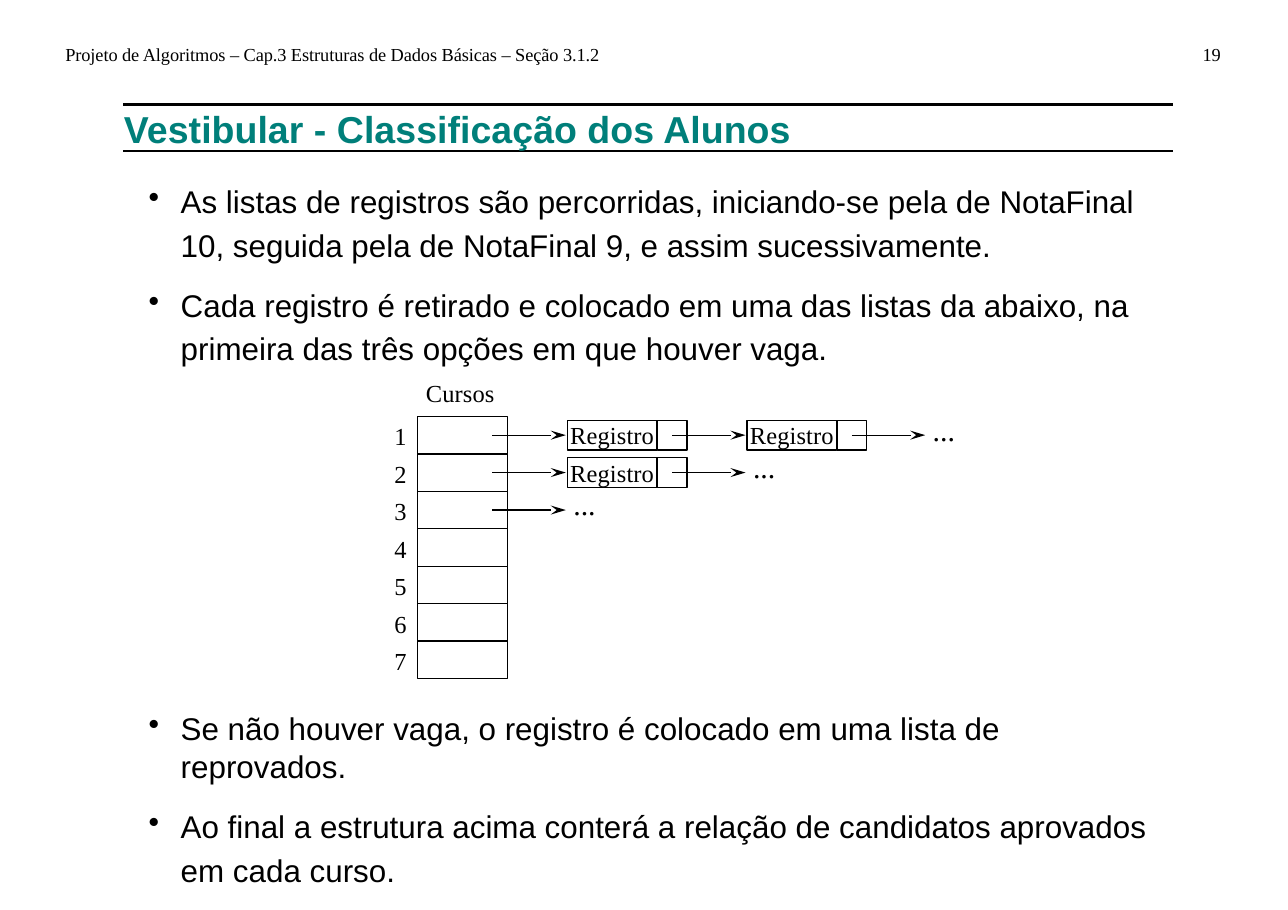
from dataclasses import dataclass

from lxml import etree
from pptx import Presentation
from pptx.dml.color import RGBColor
from pptx.enum.shapes import MSO_CONNECTOR, MSO_SHAPE
from pptx.enum.text import MSO_ANCHOR, PP_ALIGN
from pptx.oxml.ns import qn
from pptx.util import Emu, Inches, Pt

LINE = MSO_CONNECTOR.STRAIGHT
RECT = MSO_SHAPE.RECTANGLE
TOP = MSO_ANCHOR.TOP
MIDDLE = MSO_ANCHOR.MIDDLE
LEFT = PP_ALIGN.LEFT
CENTER = PP_ALIGN.CENTER

WIDTH = Inches(11.69)
HEIGHT = Inches(8.26)
COL = WIDTH / 43
ROW = HEIGHT / 24.3


@dataclass(frozen=True)
class Theme:
    ink: RGBColor = RGBColor(0x00, 0x00, 0x00)
    teal: RGBColor = RGBColor(0x00, 0x7F, 0x7A)
    sans: str = "Arial"
    serif: str = "Times New Roman"
    small: float = 12
    label: float = 16
    dots: float = 19.5
    body: float = 20.5
    title: float = 24.5
    thin: float = 0.82
    thick: float = 1.73
    tight: float = 24.8
    loose: float = 28.7
    gap: float = 10.5


THEME = Theme()


@dataclass(frozen=True)
class Style:
    face: str
    size: float
    color: RGBColor = THEME.ink
    bold: bool = False
    track: int = 0


@dataclass(frozen=True)
class Area:
    col: float
    row: float
    cols: float
    rows: float

    def place(self) -> tuple[Emu, Emu, Emu, Emu]:
        return (Emu(int(self.col * COL)), Emu(int(self.row * ROW)),
                Emu(int(self.cols * COL)), Emu(int(self.rows * ROW)))


@dataclass(frozen=True)
class Para:
    text: str
    pitch: float | None = None
    before: float = 0
    bullet: bool = False


@dataclass(frozen=True)
class Block:
    area: Area
    style: Style
    paras: list[Para]


SMALL = Style(THEME.serif, THEME.small, track=-5)
LABEL = Style(THEME.serif, THEME.label, track=10)
DOTS = Style(THEME.serif, THEME.dots)
BODY = Style(THEME.sans, THEME.body)
TITLE = Style(THEME.sans, THEME.title, THEME.teal, True, 7)

FIG_COL = 13.94
FIG_ROW = 11.12
COURSES = 7
CHAINS = [2, 1, 0]
STEP = 6

BLOCKS = [
    Block(Area(2.18, 1.15, 20, 0.62), SMALL,
          [Para("Projeto de Algoritmos – Cap.3 Estruturas de Dados Básicas – Seção 3.1.2")]),
    Block(Area(40.15, 1.15, 1, 0.62), SMALL, [Para("19")]),
    Block(Area(4.14, 2.83, 35, 1.15), TITLE,
          [Para("Vestibular - Classificação dos Alunos")]),
    Block(Area(4.93, 4.69, 33.9, 5.1), BODY, [
        Para("As listas de registros são percorridas, iniciando-se pela de NotaFinal 10, "
             "seguida pela de NotaFinal 9, e assim sucessivamente.",
             THEME.loose, bullet=True),
        Para("Cada registro é retirado e colocado em uma das listas da abaixo, na "
             "primeira das três opções em que houver vaga.",
             THEME.loose, THEME.gap, True)]),
    Block(Area(14.22, 10.09, 3, 0.75), LABEL, [Para("Cursos")]),
    Block(Area(13.17, 11.04, 0.6, COURSES), LABEL,
          [Para(str(num), ROW / Pt(1)) for num in range(1, COURSES + 1)]),
    Block(Area(4.93, 18.94, 33.9, 4.8), BODY, [
        Para("Se não houver vaga, o registro é colocado em uma lista de reprovados.",
             THEME.tight, bullet=True),
        Para("Ao final a estrutura acima conterá a relação de candidatos aprovados "
             "em cada curso.", THEME.loose, THEME.gap, True)]),
]


def apply(target: object, values: dict[str, object]) -> None:
    for key, value in values.items():
        setattr(target, key, value)


def write(frame, paras: list[Para], style: Style, anchor=TOP, align=LEFT) -> None:
    apply(frame, {"margin_left": 0, "margin_right": 0, "margin_top": 0,
                  "margin_bottom": 0, "word_wrap": True, "vertical_anchor": anchor})
    for num, para in enumerate(paras):
        line = frame.add_paragraph() if num else frame.paragraphs[0]
        if para.bullet:
            props = line._p.get_or_add_pPr()
            props.set("marL", str(Inches(0.3)))
            props.set("indent", str(-Inches(0.29)))
            etree.SubElement(props, qn("a:buChar")).set("char", "•")
        line.alignment = align
        if para.pitch:
            line.line_spacing = Pt(para.pitch)
        if para.before:
            line.space_before = Pt(para.before)
        run = line.add_run()
        run.text = para.text
        apply(run.font, {"name": style.face, "size": Pt(style.size), "bold": style.bold})
        run.font.color.rgb = style.color
        if style.track:
            run._r.get_or_add_rPr().set("spc", str(style.track))


def draw_text(slide, block: Block) -> None:
    box = slide.shapes.add_textbox(*block.area.place())
    write(box.text_frame, block.paras, block.style)


def draw_box(slide, area: Area, text: str = "") -> None:
    box = slide.shapes.add_shape(RECT, *area.place())
    box.shadow.inherit = False
    box.fill.background()
    box.line.color.rgb = THEME.ink
    box.line.width = Pt(THEME.thin)
    if text:
        write(box.text_frame, [Para(text)], LABEL, MIDDLE, CENTER)


def draw_line(slide, col: float, row: float, cols: float,
              weight: float, arrow: bool = False) -> None:
    left, top, width, _ = Area(col, row, cols, 0).place()
    line = slide.shapes.add_connector(LINE, left, top, left + width, top)
    line.line.color.rgb = THEME.ink
    line.line.width = Pt(weight)
    if arrow:
        head = etree.SubElement(line.line._get_or_add_ln(), qn("a:tailEnd"))
        for key, value in {"type": "stealth", "w": "med", "len": "lg"}.items():
            head.set(key, value)
    etree.SubElement(line._element.spPr, qn("a:effectLst"))


def draw_chain(slide, row: float, count: int) -> None:
    for num in range(count + 1):
        col = FIG_COL + num * STEP
        draw_line(slide, col + 2.5, row + 0.5, 2.45, THEME.thin, True)
        if num < count:
            draw_box(slide, Area(col + 5, row + 0.1, 3, 0.8), "Registro")
            draw_box(slide, Area(col + 8, row + 0.1, 1, 0.8))
        else:
            draw_text(slide, Block(Area(col + 5.2, row - 0.14, 1.2, 0.9),
                                   DOTS, [Para("...")]))


def main() -> None:
    deck = Presentation()
    apply(deck, {"slide_width": WIDTH, "slide_height": HEIGHT})
    slide = deck.slides.add_slide(deck.slide_layouts[6])
    for row in (2.79, 4.03):
        draw_line(slide, 4.12, row, 35.05, THEME.thick)
    for num in range(COURSES):
        draw_box(slide, Area(FIG_COL, FIG_ROW + num, 3, 1))
    for num, count in enumerate(CHAINS):
        draw_chain(slide, FIG_ROW + num, count)
    for block in BLOCKS:
        draw_text(slide, block)
    deck.save("out.pptx")


if __name__ == "__main__":
    main()
